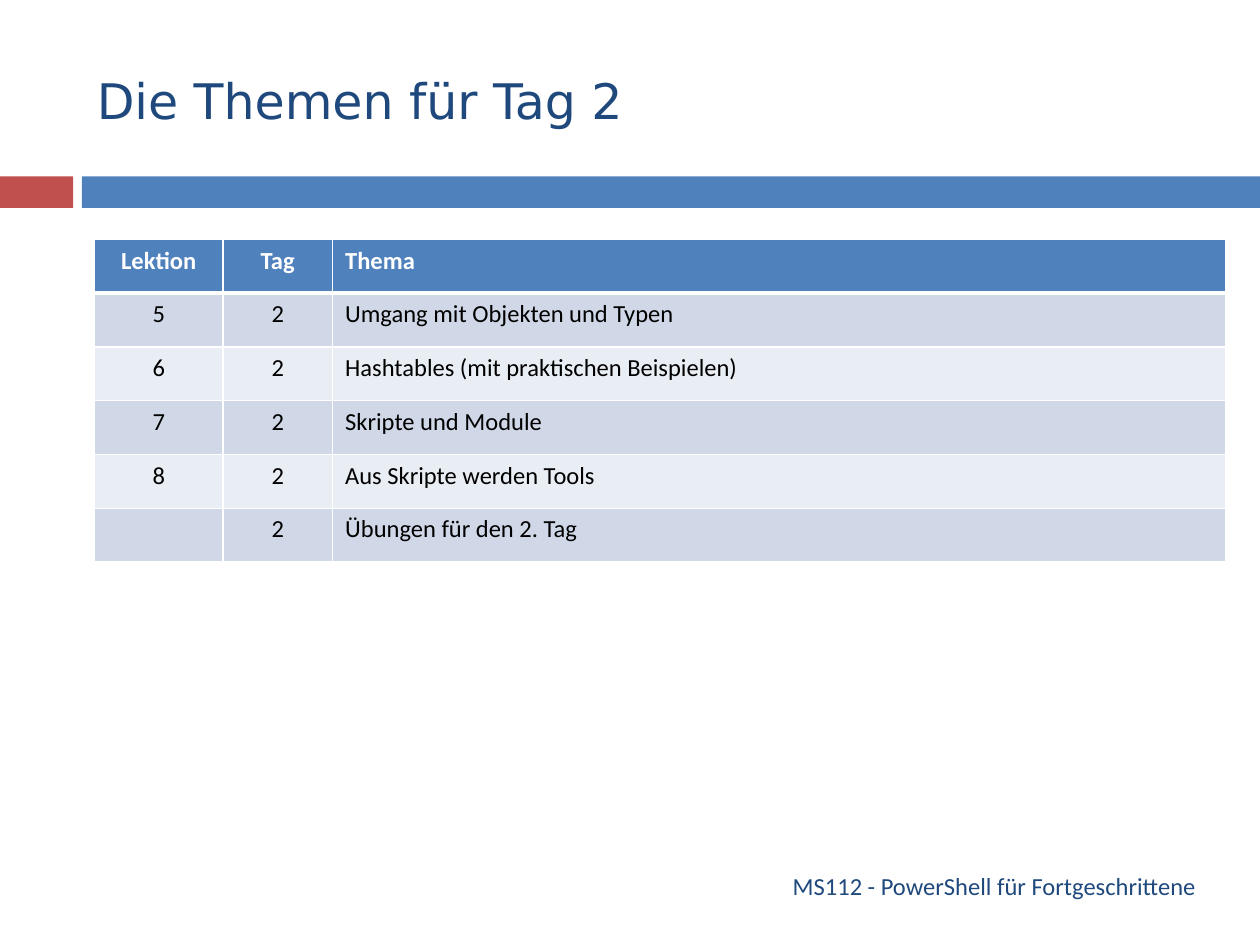
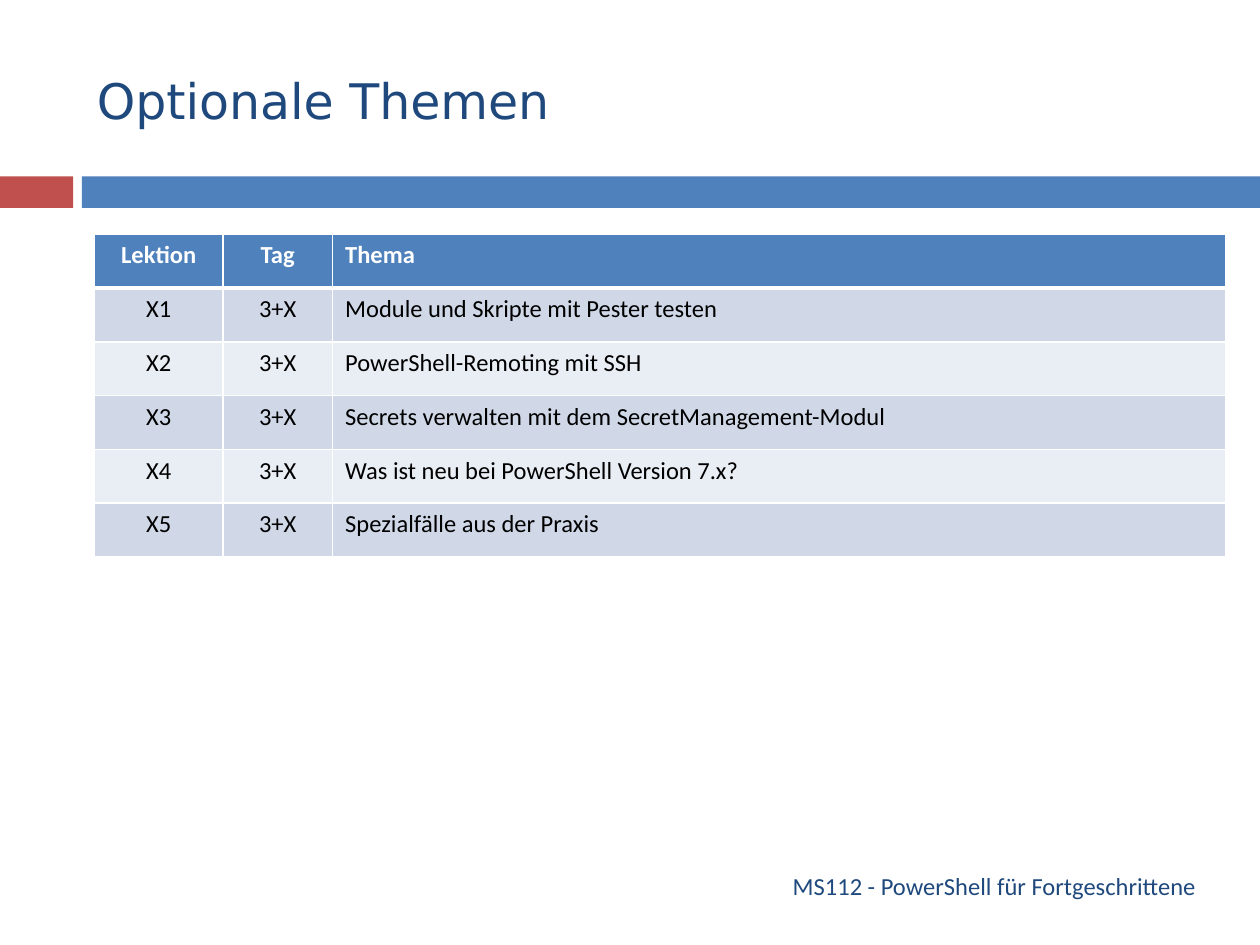
from lxml.etree import SubElement
from pptx import Presentation
from pptx.dml.color import RGBColor
from pptx.enum.shapes import MSO_SHAPE
from pptx.enum.text import MSO_ANCHOR, PP_ALIGN
from pptx.oxml.ns import qn
from pptx.util import Inches, Pt

WHITE, BLACK = "FFFFFF", "000000"
NAVY, BLUE, RED = "1F497D", "4F81BD", "C0504D"
STRIPES = ("D0D8E8", "E9EDF4")
TITLE_FONT, BODY_FONT = "DejaVu Sans", "Calibri"
FOOTER = "MS112 - PowerShell für Fortgeschrittene"
HEADINGS = ("Lektion", "Tag", "Thema")
COLUMN_WIDTHS = (1.02, 0.87, 7.09)
COLUMN_ALIGNS = (PP_ALIGN.CENTER, PP_ALIGN.CENTER, PP_ALIGN.LEFT)
TABLE_LEFT, ROW_HEIGHT = 0.75, 0.427
TEXT_LEFT, TEXT_WIDTH = 0.67, 8.92

DAY_TWO = [
    ("5", "2", "Umgang mit Objekten und Typen"),
    ("6", "2", "Hashtables (mit praktischen Beispielen)"),
    ("7", "2", "Skripte und Module"),
    ("8", "2", "Aus Skripte werden Tools"),
    ("", "2", "Übungen für den 2. Tag"),
]
OPTIONAL_TOPICS = [
    "Module und Skripte mit Pester testen",
    "PowerShell-Remoting mit SSH",
    "Secrets verwalten mit dem SecretManagement-Modul",
    "Was ist neu bei PowerShell Version 7.x?",
    "Spezialfälle aus der Praxis",
]
OPTIONAL = [(f"X{number}", "3+X", topic) for number, topic in enumerate(OPTIONAL_TOPICS, 1)]


def paint(target, color):
    """Give a fill or font a solid hex colour."""
    if hasattr(target, "solid"):
        target.solid()
        target.fore_color.rgb = RGBColor.from_string(color)
    else:
        target.color.rgb = RGBColor.from_string(color)


def write(frame, text, font, size, color, align=PP_ALIGN.LEFT, bold=False):
    """Write one styled run into the first paragraph of a text frame."""
    paragraph = frame.paragraphs[0]
    paragraph.alignment = align
    if text:
        run = paragraph.add_run()
        run.text = text
        run.font.name, run.font.size, run.font.bold = font, Pt(size), bold
        paint(run.font, color)


def add_line_of_text(slide, top, height, text, font, size, align):
    """Add a vertically centred navy line of text across the content width."""
    box = slide.shapes.add_textbox(
        Inches(TEXT_LEFT), Inches(top), Inches(TEXT_WIDTH), Inches(height))
    box.text_frame.word_wrap = True
    box.text_frame.vertical_anchor = MSO_ANCHOR.MIDDLE
    write(box.text_frame, text, font, size, NAVY, align)


def add_band(slide, left, width, color):
    """Add one part of the band below the title."""
    band = slide.shapes.add_shape(
        MSO_SHAPE.RECTANGLE, Inches(left), Inches(1.4), Inches(width), Inches(0.25))
    band.shadow.inherit = False
    paint(band.fill, color)
    band.line.fill.background()


def set_borders(cell, top, bottom):
    """Draw white borders around a cell, with top and bottom widths in points."""
    properties = cell._tc.get_or_add_tcPr()
    for side, width in (("L", 1), ("R", 1), ("T", top), ("B", bottom)):
        line = SubElement(properties, qn(f"a:ln{side}"), w=str(Pt(width)))
        SubElement(SubElement(line, qn("a:solidFill")), qn("a:srgbClr"), val=WHITE)


def add_topic_table(slide, top, topics):
    """Add a striped table of topics below a header row."""
    rows = [HEADINGS, *topics]
    table = slide.shapes.add_table(
        len(rows), len(HEADINGS), Inches(TABLE_LEFT), Inches(top),
        Inches(sum(COLUMN_WIDTHS)), Inches(ROW_HEIGHT * len(rows))).table
    for column, width in zip(table.columns, COLUMN_WIDTHS):
        column.width = Inches(width)
    for index, values in enumerate(rows):
        header = index == 0
        fill = BLUE if header else STRIPES[(index - 1) % 2]
        for cell, value, align in zip(table.rows[index].cells, values, COLUMN_ALIGNS):
            set_borders(cell, top=3 if index == 1 else 1, bottom=3 if header else 1)
            paint(cell.fill, fill)
            write(cell.text_frame, value, BODY_FONT, 14,
                  WHITE if header else BLACK, align, bold=header)


def add_topic_slide(deck, title, table_top, topics):
    """Add a slide with title, band, topic table and footer."""
    slide = deck.slides.add_slide(deck.slide_layouts[6])
    paint(slide.background.fill, WHITE)
    add_band(slide, 0, 0.58, RED)
    add_band(slide, 0.65, 9.35, BLUE)
    add_line_of_text(slide, 0.25, 1.08, title, TITLE_FONT, 28, PP_ALIGN.LEFT)
    add_topic_table(slide, table_top, topics)
    add_line_of_text(slide, 6.83, 0.4, FOOTER, BODY_FONT, 14, PP_ALIGN.RIGHT)


def main():
    """Build the topic overview slides."""
    deck = Presentation()
    deck.slide_width, deck.slide_height = Inches(10), Inches(7.5)
    add_topic_slide(deck, "Die Themen für Tag 2", 1.9, DAY_TWO)
    add_topic_slide(deck, "Optionale Themen", 1.86, OPTIONAL)
    deck.save("out.pptx")


if __name__ == "__main__":
    main()
